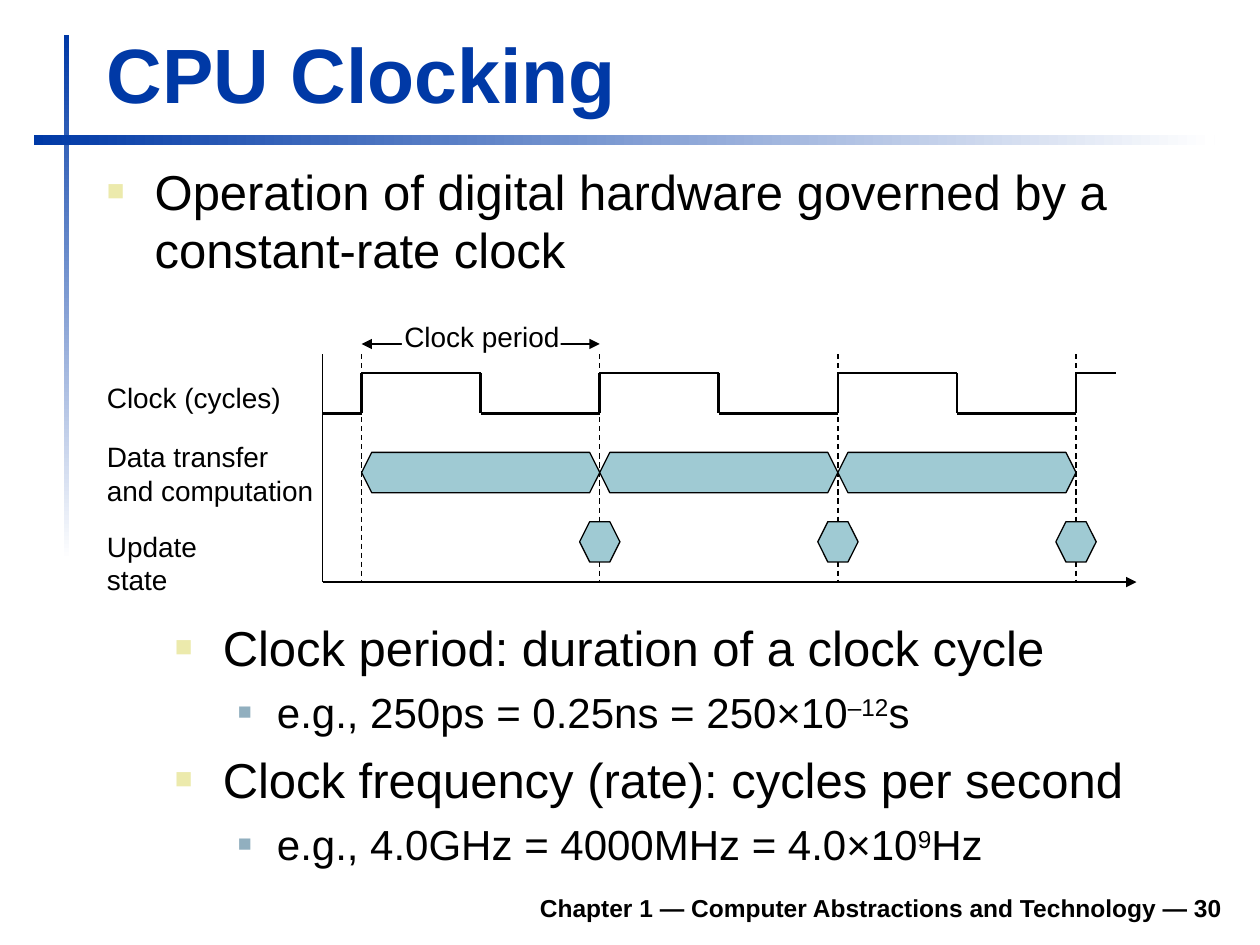
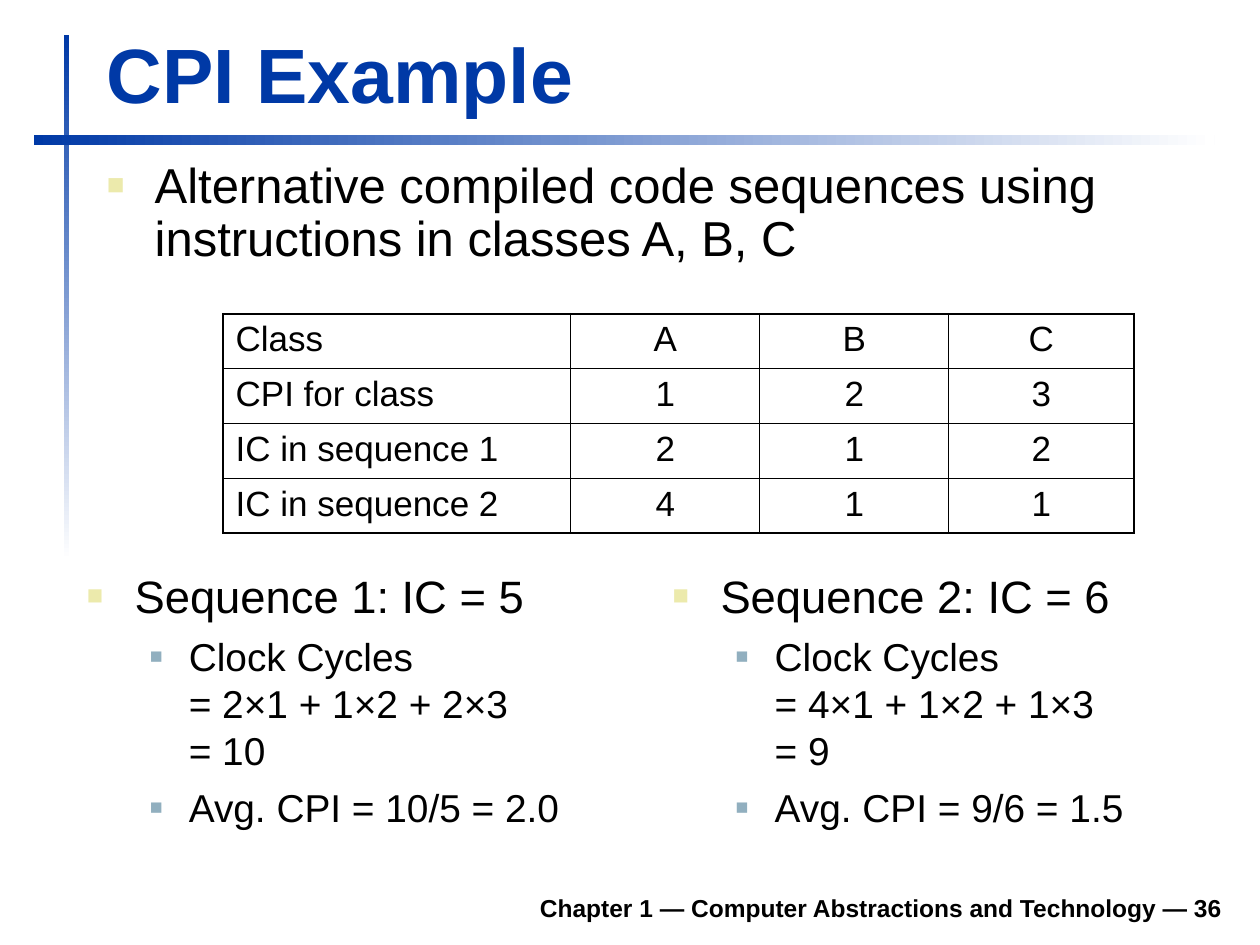
from itertools import pairwise

from lxml.etree import SubElement
from pptx import Presentation
from pptx.dml.color import RGBColor
from pptx.enum.dml import MSO_LINE
from pptx.enum.shapes import MSO_CONNECTOR, MSO_SHAPE
from pptx.enum.text import MSO_ANCHOR, PP_ALIGN
from pptx.oxml.ns import qn
from pptx.util import Inches, Pt

FONT = "Arial"
BLUE = RGBColor(0x00, 0x39, 0xA6)
BLACK = RGBColor(0x00, 0x00, 0x00)
WHITE = RGBColor(0xFF, 0xFF, 0xFF)
TEAL = RGBColor(0x9F, 0xCA, 0xD3)
CREAM = RGBColor(0xEC, 0xEA, 0xAC)
STEEL = RGBColor(0x91, 0xAF, 0xBF)

FOOTER = "Chapter 1 — Computer Abstractions and Technology — {}"
BANDS = [((0.51, 0.28, 0.04, 4.17), 270), ((0.27, 1.07, 9.37, 0.08), 0)]
BULLETS = [
    {"indent": 0.38, "hang": 0.38, "before": 7, "color": CREAM, "percent": 60},
    {"indent": 0.81, "hang": 0.31, "before": 6, "color": STEEL, "percent": 55},
]

CLOCK_INTRO = [(0, "Operation of digital hardware governed by a constant-rate clock")]
CLOCK_FACTS = [
    (0, "Clock period: duration of a clock cycle"),
    (1, "e.g., 250ps = 0.25ns = 250×10^–12^s"),
    (0, "Clock frequency (rate): cycles per second"),
    (1, "e.g., 4.0GHz = 4000MHz = 4.0×10^9^Hz"),
]
ROW_LABELS = [
    ((0.75, 2.97, 1.58, 0.37), "Clock (cycles)"),
    ((0.75, 3.44, 1.84, 0.64), "Data transfer\nand computation"),
    ((0.75, 4.15, 1.45, 0.37), "Update state"),
]
PERIOD = 1.89
EDGES = [2.87 + PERIOD * i for i in range(4)]
AXIS_X, AXIS_TOP, AXIS_Y, AXIS_END = 2.56, 2.81, 4.62, 9.02
HIGH, LOW, WAVE_END = 2.96, 3.28, 8.86
TRANSFER_Y, UPDATE_Y, PERIOD_Y = 3.75, 4.3, 2.73
HEX_HALF, HEX_CUT = 0.16, 0.08

CPI_INTRO = [(0, "Alternative compiled code sequences using instructions in classes A, B, C")]
CPI_TABLE = [
    ("Class", "A", "B", "C"),
    ("CPI for class", "1", "2", "3"),
    ("IC in sequence 1", "2", "1", "2"),
    ("IC in sequence 2", "4", "1", "1"),
]
COL_WIDTHS = [2.76, 1.5, 1.5, 1.47]
ROW_HEIGHT = 0.435
OUTER, INNER = 1.08, 0.45
SEQUENCES = [
    [(0, "Sequence 1: IC = 5"),
     (1, "Clock Cycles\n= 2×1 + 1×2 + 2×3\n= 10"),
     (1, "Avg. CPI = 10/5 = 2.0")],
    [(0, "Sequence 2: IC = 6"),
     (1, "Clock Cycles\n= 4×1 + 1×2 + 1×3\n= 9"),
     (1, "Avg. CPI = 9/6 = 1.5")],
]


def inches(values):
    return [Inches(v) for v in values]


def format_runs(p, size, color=BLACK, bold=False):
    for r in p.runs:
        r.font.name, r.font.size, r.font.bold = FONT, Pt(size), bold
        r.font.color.rgb = color


def add_text(sl, box, text, size, color=BLACK, bold=False, align=PP_ALIGN.LEFT,
             anchor=MSO_ANCHOR.TOP, wrap=True):
    tf = sl.shapes.add_textbox(*inches(box)).text_frame
    tf.word_wrap, tf.vertical_anchor = wrap, anchor
    p = tf.paragraphs[0]
    p.text, p.alignment = text, align
    format_runs(p, size, color, bold)


def add_bullets(sl, box, items, sizes=(28, 24), line_spacing=None):
    tf = sl.shapes.add_textbox(*inches(box)).text_frame
    tf.word_wrap = True
    for i, (level, text) in enumerate(items):
        p = tf.add_paragraph() if i else tf.paragraphs[0]
        p.text, *rest = text.split("^")
        for part in rest:
            p.add_run().text = part
        format_runs(p, sizes[level])
        if rest:
            p.runs[1].font._element.set("baseline", "30000")
        style = BULLETS[level]
        p.level, p.space_before = level, Pt(style["before"])
        p.line_spacing = line_spacing
        pPr = p._p.get_or_add_pPr()
        pPr.set("marL", str(Inches(style["indent"])))
        pPr.set("indent", str(-Inches(style["hang"])))
        SubElement(SubElement(pPr, qn("a:buClr")), qn("a:srgbClr"), val=str(style["color"]))
        SubElement(pPr, qn("a:buSzPct"), val=str(style["percent"] * 1000))
        SubElement(pPr, qn("a:buFont"), typeface=FONT)
        SubElement(pPr, qn("a:buChar"), char="■")


def add_line(sl, start, end, width=0.75, dash=None, arrows=()):
    c = sl.shapes.add_connector(MSO_CONNECTOR.STRAIGHT, *inches((*start, *end)))
    c.line.color.rgb, c.line.width = BLACK, Pt(width)
    if dash:
        c.line.dash_style = dash
    for arrow in arrows:
        SubElement(c.line._get_or_add_ln(), qn(f"a:{arrow}"), type="triangle")
    SubElement(c._element.spPr, qn("a:effectLst"))


def add_rect(sl, box):
    sp = sl.shapes.add_shape(MSO_SHAPE.RECTANGLE, *inches(box))
    sp.shadow.inherit = False
    sp.line.fill.background()
    return sp


def add_hexagon(sl, left, right, y):
    top, bottom = y - HEX_HALF, y + HEX_HALF
    points = [(left, y), (left + HEX_CUT, top), (right - HEX_CUT, top),
              (right, y), (right - HEX_CUT, bottom), (left + HEX_CUT, bottom)]
    start, *others = [inches(pt) for pt in points]
    builder = sl.shapes.build_freeform(*start)
    builder.add_line_segments(others, close=True)
    sp = builder.convert_to_shape()
    sp.shadow.inherit = False
    sp.fill.solid()
    sp.fill.fore_color.rgb = TEAL
    sp.line.color.rgb, sp.line.width = BLACK, Pt(0.75)


def add_slide(prs, title, number):
    sl = prs.slides.add_slide(prs.slide_layouts[6])
    for box, angle in BANDS:
        fill = add_rect(sl, box).fill
        fill.gradient()
        fill.gradient_angle = angle
        for stop, color in zip(fill.gradient_stops, (BLUE, WHITE)):
            stop.color.rgb = color
    add_text(sl, (1.85, 6.98, 7.95, 0.39), FOOTER.format(number), 14, bold=True,
             align=PP_ALIGN.RIGHT, anchor=MSO_ANCHOR.BOTTOM)
    add_text(sl, (0.75, 0.16, 9.03, 0.83), title, 44, BLUE, True, anchor=MSO_ANCHOR.BOTTOM)
    return sl


def add_timing_diagram(sl):
    add_line(sl, (EDGES[0], PERIOD_Y), (EDGES[1], PERIOD_Y), arrows=("headEnd", "tailEnd"))
    for x in EDGES:
        add_line(sl, (x, AXIS_TOP), (x, AXIS_Y), dash=MSO_LINE.DASH)

    wave = [(AXIS_X, LOW)]
    for x in EDGES[:-1]:
        middle = x + PERIOD / 2
        wave += [(x, LOW), (x, HIGH), (middle, HIGH), (middle, LOW)]
    wave += [(EDGES[-1], LOW), (EDGES[-1], HIGH), (WAVE_END, HIGH)]
    for start, end in pairwise(wave):
        add_line(sl, start, end, 1.5)

    add_line(sl, (AXIS_X, AXIS_Y), (AXIS_END, AXIS_Y), arrows=("tailEnd",))
    add_line(sl, (AXIS_X, AXIS_Y), (AXIS_X, AXIS_TOP))
    for left, right in pairwise(EDGES):
        add_hexagon(sl, left, right, TRANSFER_Y)
        add_hexagon(sl, right - HEX_HALF, right + HEX_HALF, UPDATE_Y)

    for box, text in ROW_LABELS:
        add_text(sl, box, text, 16, wrap=False)
    gap = add_rect(sl, (3.19, 2.65, 1.26, 0.16))
    gap.fill.solid()
    gap.fill.fore_color.rgb = WHITE
    add_text(sl, (3.11, 2.49, 1.43, 0.37), "Clock period", 16,
             align=PP_ALIGN.CENTER, wrap=False)


def set_borders(cell, widths):
    tcPr = cell._tc.get_or_add_tcPr()
    for side, width in zip("LRTB", widths):
        ln = SubElement(tcPr, qn(f"a:ln{side}"), w=str(Pt(width)))
        SubElement(SubElement(ln, qn("a:solidFill")), qn("a:srgbClr"), val=str(BLACK))


def add_cpi_table(sl):
    rows, cols = len(CPI_TABLE), len(COL_WIDTHS)
    box = (1.77, 2.49, sum(COL_WIDTHS), ROW_HEIGHT * rows)
    table = sl.shapes.add_table(rows, cols, *inches(box)).table
    table.first_row = table.horz_banding = False
    for column, width in zip(table.columns, COL_WIDTHS):
        column.width = Inches(width)
    for i, values in enumerate(CPI_TABLE):
        for j, value in enumerate(values):
            cell = table.cell(i, j)
            p = cell.text_frame.paragraphs[0]
            p.text, p.space_before = value, Pt(5)
            p.alignment = PP_ALIGN.CENTER if j else PP_ALIGN.LEFT
            format_runs(p, 20)
            on_edge = (j == 0, j == cols - 1, i == 0, i == rows - 1)
            set_borders(cell, [OUTER if edge else INNER for edge in on_edge])
            cell.fill.background()


def main():
    prs = Presentation()
    prs.slide_width, prs.slide_height = Inches(10), Inches(7.5)

    sl = add_slide(prs, "CPU Clocking", 30)
    add_bullets(sl, (0.75, 1.23, 9.04, 1.34), CLOCK_INTRO)
    add_timing_diagram(sl)
    add_bullets(sl, (1.29, 4.85, 8.5, 2.13), CLOCK_FACTS)

    sl = add_slide(prs, "CPI Example", 36)
    add_bullets(sl, (0.75, 1.23, 9.04, 1.09), CPI_INTRO, line_spacing=0.9)
    add_cpi_table(sl)
    for i, items in enumerate(SEQUENCES):
        add_bullets(sl, (0.59 + 4.65 * i, 4.46, 4.25, 2.28), items, (25.9, 22.2))

    prs.save("out.pptx")


if __name__ == "__main__":
    main()
